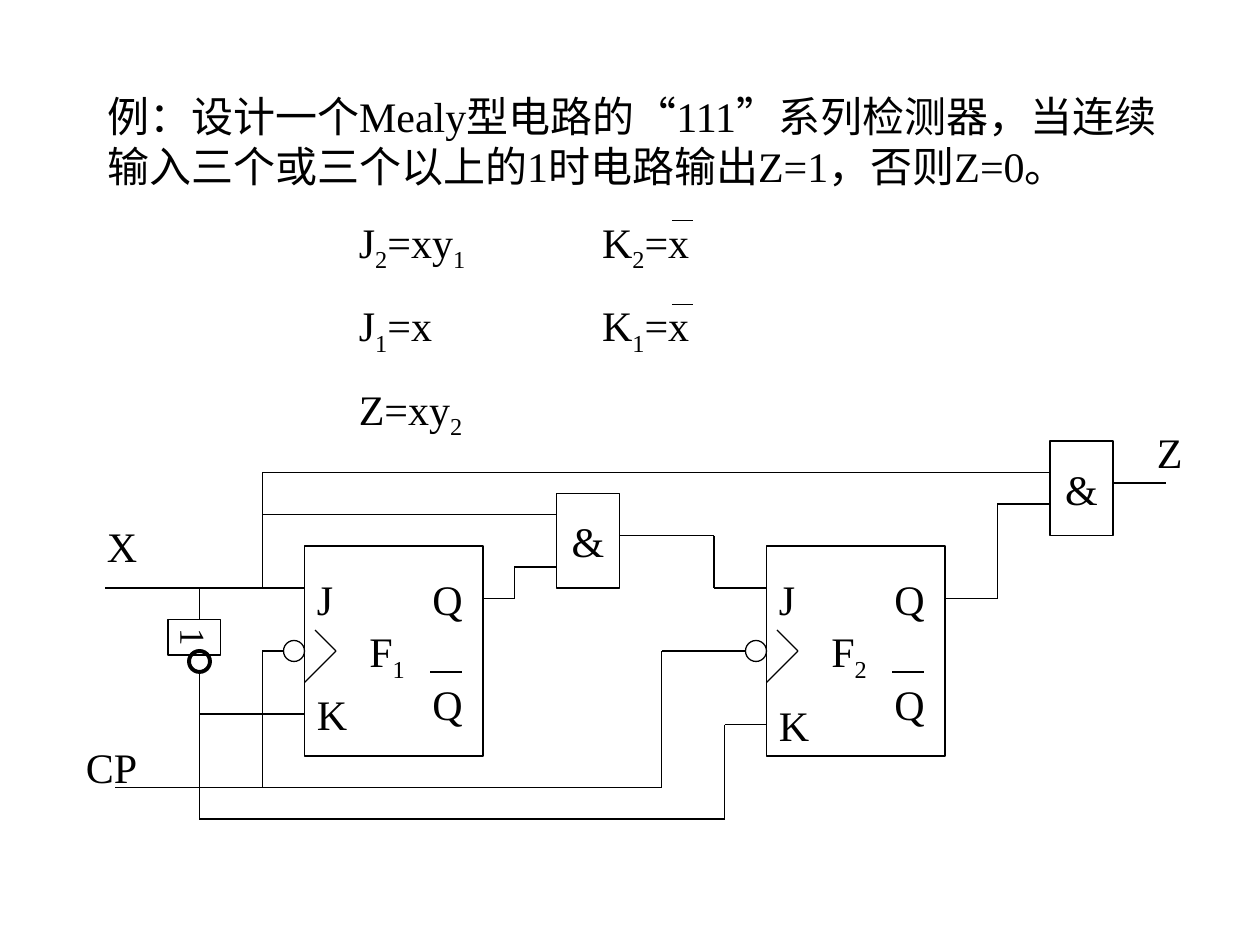
from dataclasses import dataclass
from itertools import pairwise

from lxml.etree import SubElement
from pptx import Presentation
from pptx.dml.color import RGBColor
from pptx.enum.shapes import MSO_CONNECTOR, MSO_SHAPE
from pptx.enum.text import MSO_ANCHOR, MSO_AUTO_SIZE, PP_ALIGN
from pptx.oxml.ns import qn
from pptx.util import Inches, Pt


@dataclass(frozen=True)
class Theme:
    ink: RGBColor = RGBColor(0, 0, 0)
    font: str = "Times New Roman"
    size: int = 24
    small: int = 20
    gap: int = 15
    thin: float = 0.75
    bold: float = 2.25


THEME = Theme()
COLS = 120
TITLE = ["例：设计一个Mealy型电路的“111”系列检测器，当连续输入三个或三个以上的1时电路输出Z=1，否则Z=0。"]
RULES = ["J_2=xy_1\tK_2=x", "J_1=x\tK_1=x", "Z=xy_2"]
STOP = 1.93
FLOPS = [(29, "F_1", 65), (73, "F_2", 66)]
GATES = [(100, 42), (53, 47)]
LABELS = [("X", 9, 49, 6), ("CP", 7, 70, 10), ("Z", 109, 40, 6)]
BARS = [[(64, 21), (66, 21)], [(64, 29), (66, 29)]]
WIRES = [
    [(71, 62), (63, 62), (63, 75), (11, 75)],
    [(73, 69), (69, 69), (69, 78), (19, 78)],
    [(25, 75), (25, 62), (27, 62)],
    [(29, 56), (10, 56)],
    [(19, 56), (19, 59)],
    [(19, 64), (19, 78)],
    [(29, 68), (19, 68)],
    [(25, 56), (25, 45), (100, 45)],
    [(25, 49), (53, 49)],
    [(46, 57), (49, 57), (49, 54), (53, 54)],
    [(59, 51), (68, 51), (68, 56), (73, 56)],
    [(90, 57), (95, 57), (95, 48), (100, 48)],
    [(106, 46), (111, 46)],
]

deck = Presentation()
deck.slide_width, deck.slide_height = Inches(10), Inches(7.5)
unit = deck.slide_width / COLS
slide = deck.slides.add_slide(deck.slide_layouts[5])
shapes = slide.shapes


def grid(*cells):
    return [round(c * unit) for c in cells]


def add_run(para, text, size, low=False):
    if text:
        run = para.add_run()
        run.text = text
        run.font.name, run.font.size = THEME.font, Pt(size)
        run.font.color.rgb = THEME.ink
        if low:
            run.font._element.set("baseline", "-25000")


def write(frame, lines, size=THEME.size, align=PP_ALIGN.LEFT, anchor=MSO_ANCHOR.TOP, wrap=True):
    frame.auto_size = MSO_AUTO_SIZE.NONE
    frame.word_wrap, frame.vertical_anchor = wrap, anchor
    for i, line in enumerate(lines):
        para = frame.add_paragraph() if i else frame.paragraphs[0]
        if "\t" in line:
            tabs = SubElement(para._p.get_or_add_pPr(), qn("a:tabLst"))
            SubElement(tabs, qn("a:tab"), pos=str(Inches(STOP)), algn="l")
        para.alignment = align
        para.space_before = Pt(THEME.gap if i else 0)
        head, *rest = line.split("_")
        add_run(para, head, size)
        for part in rest:
            add_run(para, part[0], size, True)
            add_run(para, part[1:], size)


def label(text, x, y, w=6, h=6):
    write(shapes.add_textbox(*grid(x, y, w, h)).text_frame, [text])


def outline(kind, x, y, w, h, width=THEME.thin):
    shape = shapes.add_shape(kind, *grid(x, y, w, h))
    shape.shadow.inherit = False
    shape.fill.background()
    shape.line.color.rgb, shape.line.width = THEME.ink, Pt(width)
    return shape


def mark(shape, text, size=THEME.size):
    write(shape.text_frame, [text], size, PP_ALIGN.CENTER, MSO_ANCHOR.MIDDLE, False)


def wire(points):
    for start, end in pairwise(points):
        line = shapes.add_connector(MSO_CONNECTOR.STRAIGHT, *grid(*start, *end))
        line.line.color.rgb, line.line.width = THEME.ink, Pt(THEME.thin)
        SubElement(line._element.spPr, qn("a:effectLst"))


def flop(x, name, low):
    outline(MSO_SHAPE.RECTANGLE, x, 52, 17, 20)
    outline(MSO_SHAPE.OVAL, x - 2, 61, 2, 2)
    wire([(x + 1, 60), (x + 3, 62), (x, 65)])
    wire([(x + 12, 64), (x + 15, 64)])
    for text, dx, y in [("J", 0, 54), ("Q", 11, 54), ("Q", 11, 64), (name, 5, 59), ("K", 0, low)]:
        label(text, x + dx, y)


title = shapes.title
title.left, title.top, title.width, title.height = grid(9, 8, 106, 10.8)
write(title.text_frame, TITLE)
write(shapes.add_textbox(*grid(33, 20, 42, 22.6)).text_frame, RULES)
for args in FLOPS:
    flop(*args)
for x, y in GATES:
    mark(outline(MSO_SHAPE.RECTANGLE, x, y, 6, 9), "&")
turn = outline(MSO_SHAPE.RECTANGLE, 16.8, 58.2, 3.4, 5)
turn.rotation = 90
mark(turn, "1", THEME.small)
outline(MSO_SHAPE.OVAL, 18, 62, 2, 2, THEME.bold)
for args in LABELS:
    label(*args)
for points in BARS + WIRES:
    wire(points)
deck.save("out.pptx")
